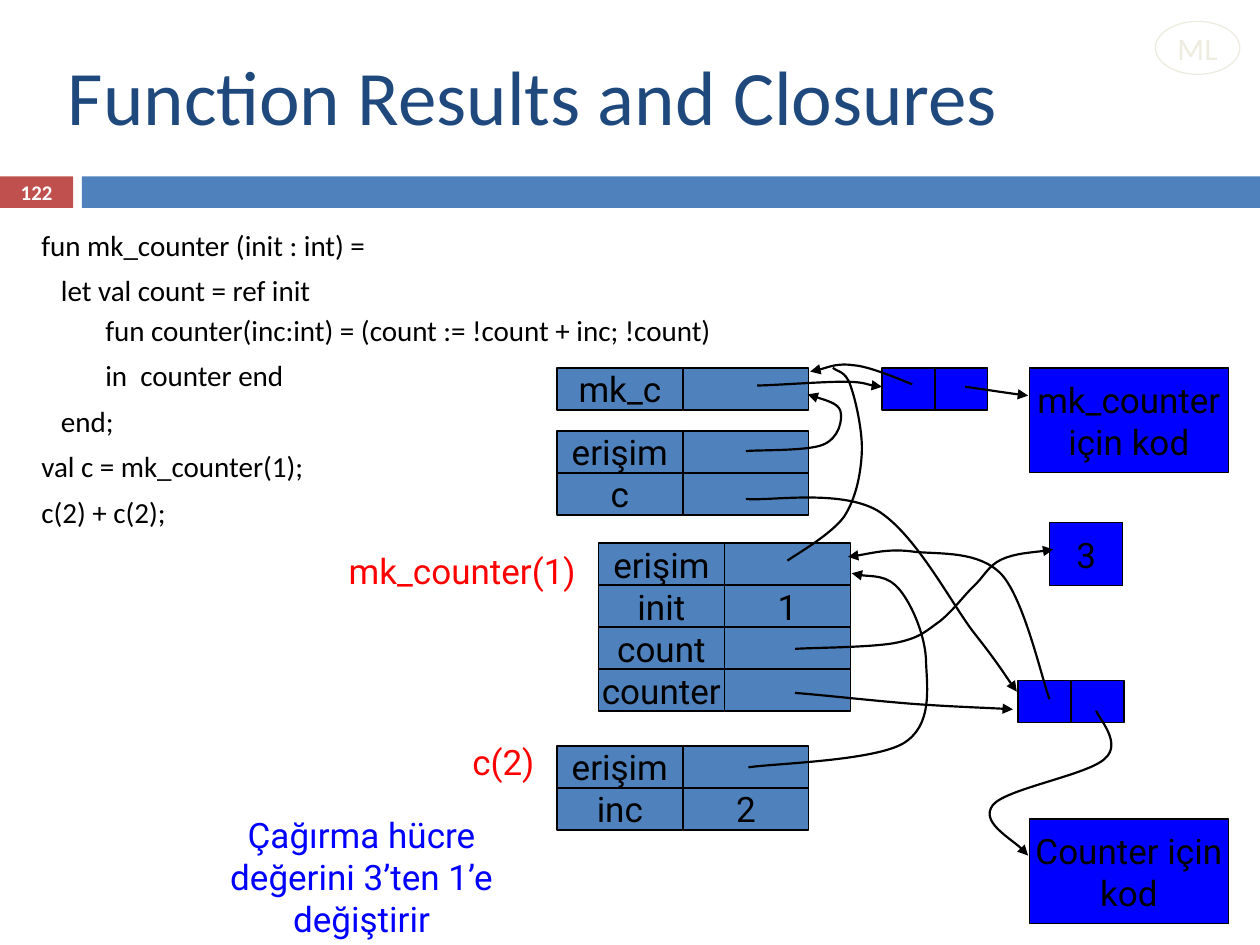
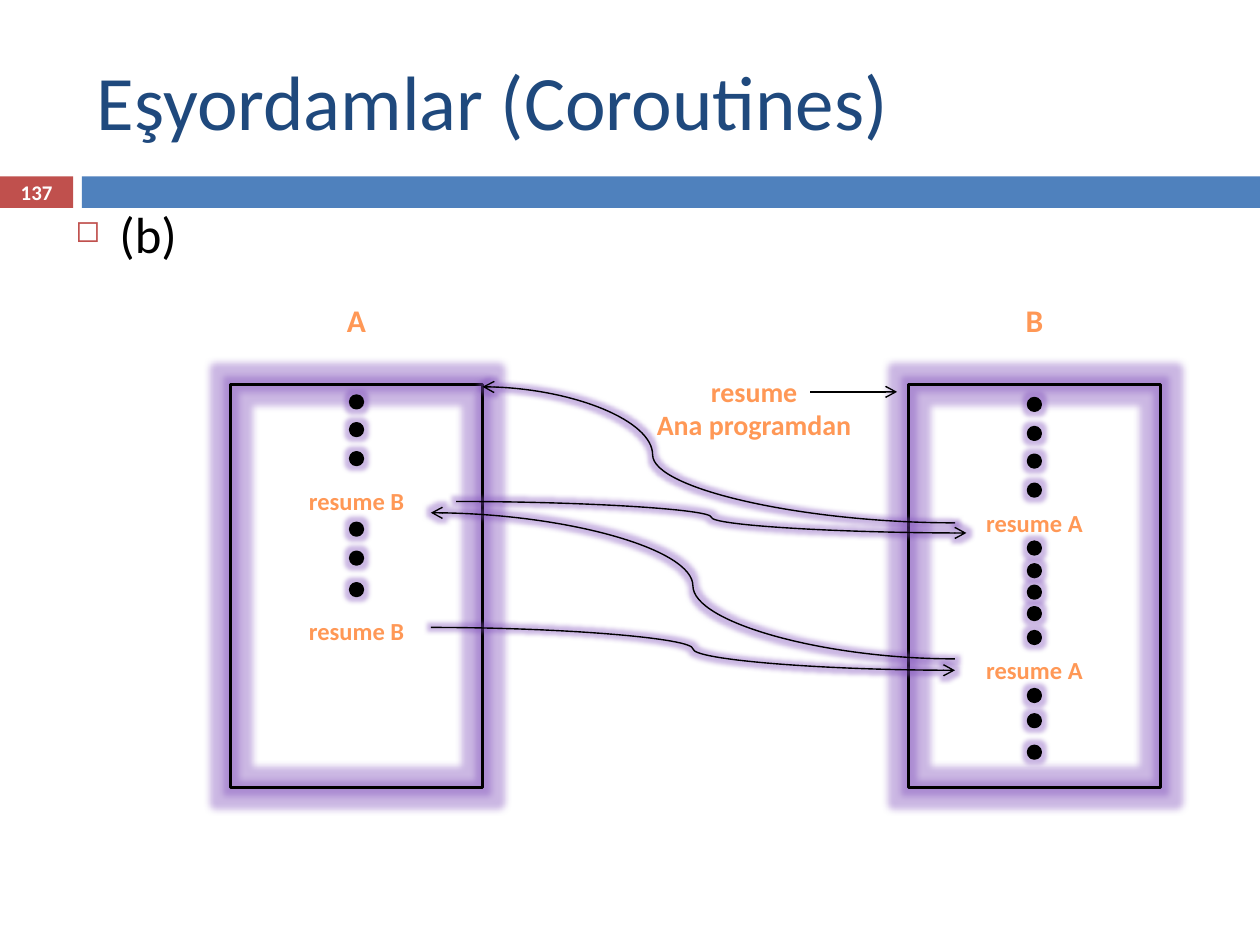
from dataclasses import dataclass
from itertools import product

from lxml import etree
from pptx import Presentation
from pptx.dml.color import RGBColor
from pptx.enum.shapes import MSO_CONNECTOR, MSO_SHAPE
from pptx.enum.text import MSO_ANCHOR, PP_ALIGN
from pptx.oxml.ns import qn
from pptx.util import Inches, Pt

RECT, OVAL = MSO_SHAPE.RECTANGLE, MSO_SHAPE.OVAL
STRAIGHT, CURVE = MSO_CONNECTOR.STRAIGHT, MSO_CONNECTOR.CURVE
LEFT, CENTER, RIGHT = PP_ALIGN.LEFT, PP_ALIGN.CENTER, PP_ALIGN.RIGHT
TOP, MIDDLE = MSO_ANCHOR.TOP, MSO_ANCHOR.MIDDLE

BLACK = RGBColor(0x00, 0x00, 0x00)
WHITE = RGBColor(0xFF, 0xFF, 0xFF)
NAVY = RGBColor(0x1F, 0x49, 0x7D)
STEEL = RGBColor(0x4F, 0x81, 0xBD)
BRICK = RGBColor(0xC0, 0x50, 0x4D)
CREAM = RGBColor(0xEE, 0xEC, 0xE1)
BLUE = RGBColor(0x00, 0x00, 0xFF)
RED = RGBColor(0xFF, 0x00, 0x00)
ORANGE = RGBColor(0xFF, 0x98, 0x56)
PURPLE = RGBColor(0x7E, 0x4D, 0xBA)

HEADING_FONT, DIAGRAM_FONT = "Calibri", "Roboto"
CELL_WIDTH, CELL_HEIGHT = 1, 1 / 3
HALF_CELL = 0.42
DOT = 0.1

Point = tuple[float, float]
Box = tuple[float, float, float, float]


@dataclass(frozen=True)
class Record:
    """An activation record: rows of name and value cells."""
    left: float
    top: float
    rows: tuple[tuple[str, str], ...]


@dataclass(frozen=True)
class Routine:
    """A coroutine box with its resume calls and statement dots."""
    name: str
    left: float
    calls: tuple[float, ...]
    call_text: str
    dots: tuple[float, ...]


@dataclass(frozen=True)
class Transfer:
    start: Point
    end: Point
    bend: float = 0.5


RECORDS = (
    Record(4.42, 2.92, (("mk_c", ""),)),
    Record(4.42, 3.42, (("erişim", ""), ("c", ""))),
    Record(4.75, 4.31, (("erişim", ""), ("init", "1"), ("count", ""), ("counter", ""))),
    Record(4.42, 5.92, (("erişim", ""), ("inc", "2"))),
)
CLOSURES = ((7, 2.92), (8.08, 5.4))
HEAP_BOXES = (
    ("mk_counter\niçin kod", (8.17, 2.92, 1.58, 0.83)),
    ("Counter için\nkod", (8.17, 6.5, 1.58, 0.83)),
    ("3", (8.33, 4.15, 0.58, 0.5)),
)
DIAGRAM_LABELS = (
    ("mk_counter(1)", (2.5, 4.31, 2.17, 0.43), RED, RIGHT),
    ("c(2)", (2.92, 5.83, 1.42, 0.43), RED, RIGHT),
    ("Çağırma hücre değerini 3’ten 1’e değiştirir", (1.58, 6.41, 2.58, 1.11), BLUE, CENTER),
)
# Each curve is a start point, then two control points and an end per segment.
POINTERS = (
    ((5.92, 3.58), (6.03, 3.57), (6.41, 3.58), (6.53, 3.53), (6.66, 3.48),
     (6.69, 3.33), (6.67, 3.26), (6.65, 3.2), (6.47, 3.15), (6.41, 3.13)),
    ((5.94, 6.09), (6.14, 6.06), (6.93, 6.04), (7.17, 5.9), (7.4, 5.76),
     (7.36, 5.47), (7.35, 5.26), (7.35, 5.06), (7.24, 4.8), (7.14, 4.68),
     (7.04, 4.56), (6.84, 4.58), (6.76, 4.55)),
    ((5.92, 3.96), (6.09, 3.98), (6.66, 3.88), (6.96, 4.05), (7.26, 4.23),
     (7.54, 4.77), (7.72, 5.01), (7.91, 5.25), (8.01, 5.41), (8.07, 5.49)),
    ((6.31, 5.15), (6.44, 5.14), (6.93, 5.14), (7.12, 5.1), (7.31, 5.06),
     (7.36, 5), (7.46, 4.93), (7.56, 4.85), (7.64, 4.74), (7.72, 4.66),
     (7.81, 4.58), (7.84, 4.49), (7.95, 4.44), (8.06, 4.39), (8.27, 4.38), (8.36, 4.36)),
    ((8.33, 5.55), (8.27, 5.39), (8.13, 4.76), (7.95, 4.56), (7.77, 4.37),
     (7.46, 4.4), (7.26, 4.38), (7.06, 4.35), (6.84, 4.41), (6.73, 4.42)),
    ((8.7, 5.64), (8.72, 5.7), (8.91, 5.9), (8.77, 6.02), (8.64, 6.15),
     (7.98, 6.26), (7.88, 6.39), (7.78, 6.52), (8.1, 6.7), (8.16, 6.79)),
    ((6.31, 5.5), (6.47, 5.51), (7, 5.57), (7.29, 5.59), (7.58, 5.61), (7.89, 5.62), (8.04, 5.63)),
    ((7.66, 3.07), (7.74, 3.08), (8.06, 3.13), (8.16, 3.14)),
    ((6.01, 3.06), (6.12, 3.06), (6.52, 3.03), (6.69, 3.03), (6.85, 3.03), (6.93, 3.07), (7, 3.07)),
    ((7.24, 3.05), (7.16, 3.02), (6.91, 2.91), (6.78, 2.9), (6.64, 2.88), (6.51, 2.94), (6.43, 2.95)),
)
HEADLESS_LINK = (
    (6.25, 4.45), (6.32, 4.4), (6.6, 4.24), (6.7, 4.1), (6.79, 3.96), (6.83, 3.78), (6.84, 3.6),
    (6.85, 3.43), (6.79, 3.17), (6.75, 3.06), (6.71, 2.94), (6.64, 2.95), (6.61, 2.92),
)
# Code line, space before, space after
CODE = (
    ("fun mk_counter (init : int) =", 0, 0),
    ("   let val count = ref init", 5.5, 0),
    ("\t    fun counter(inc:int) = (count := !count + inc; !count)", 3, 3),
    ("\t    in  counter end", 3, 3),
    ("   end;", 3, 3),
    ("val c = mk_counter(1);", 3, 3),
    ("c(2) + c(2);", 3, 3),
)
ROUTINES = (
    Routine("A", 1.83, (3.81, 4.84), "resume B", (3.14, 3.36, 3.59, 4.15, 4.38, 4.63)),
    Routine("B", 7.21, (3.98, 5.15), "resume A",
            (3.16, 3.39, 3.61, 3.84, 4.3, 4.48, 4.65, 4.82, 5.01, 5.47, 5.67, 5.92)),
)
TRANSFERS = (
    Transfer((7.58, 4.15), (3.83, 3.07), 0.64),
    Transfer((3.62, 3.98), (7.67, 4.23)),
    Transfer((7.58, 5.23), (3.42, 4.07)),
    Transfer((3.42, 4.98), (7.58, 5.32)),
)


def inches(lengths) -> list:
    return [Inches(length) for length in lengths]


def add_child(parent, tag: str, **attributes):
    child = etree.SubElement(parent, qn(tag))
    for key, value in attributes.items():
        child.set(key, str(value))
    return child


def write(holder, text: str, *, size: float, color: RGBColor = BLACK, font: str = HEADING_FONT,
          bold: bool = False, align=LEFT, anchor=TOP, wrap: bool = True):
    """Fill a shape or text box, one paragraph per line of text."""
    frame = holder.text_frame
    frame.word_wrap = wrap
    frame.vertical_anchor = anchor
    for index, line in enumerate(text.split("\n")):
        paragraph = frame.add_paragraph() if index else frame.paragraphs[0]
        paragraph.alignment = align
        run = paragraph.add_run()
        run.text = line
        run.font.name, run.font.size, run.font.bold = font, Pt(size), bold
        run.font.color.rgb = color
    return frame


def add_text(slide, text: str, box: Box, **style):
    return write(slide.shapes.add_textbox(*inches(box)), text, **style)


def set_line(shape, color: RGBColor, width: float, arrow: str = "") -> None:
    shape.line.color.rgb = color
    shape.line.width = Pt(width)
    if arrow:
        add_child(shape.element.spPr.find(qn("a:ln")), "a:tailEnd", type=arrow)


def add_box(slide, kind, box: Box, fill: RGBColor | None = None,
            line: RGBColor | None = BLACK, width: float = 0.75):
    shape = slide.shapes.add_shape(kind, *inches(box))
    shape.shadow.inherit = False
    if fill is None:
        shape.fill.background()
    else:
        shape.fill.solid()
        shape.fill.fore_color.rgb = fill
    if line is None:
        shape.line.fill.background()
    else:
        set_line(shape, line, width)
    return shape


def add_glow(shape, radius: float) -> None:
    effects = shape.element.spPr.find(qn("a:effectLst"))
    glow = add_child(effects, "a:glow", rad=Pt(radius))
    add_child(add_child(glow, "a:srgbClr", val=PURPLE), "a:alpha", val=40000)


def add_pointer(slide, points: tuple[Point, ...], arrow: str = "triangle") -> None:
    """Draw a Bézier curve by grouping each three freeform points into a segment."""
    start, *rest = [tuple(inches(point)) for point in points]
    builder = slide.shapes.build_freeform(*start)
    builder.add_line_segments(rest, close=False)
    curve = builder.convert_to_shape()
    curve.shadow.inherit = False
    curve.fill.background()
    set_line(curve, BLACK, 1.25, arrow)
    steps = list(curve.element.iter(qn("a:lnTo")))
    for first in range(0, len(steps), 3):
        segment = add_child(steps[0].getparent(), "a:cubicBezTo")
        for step in steps[first:first + 3]:
            segment.append(step[0])
    for step in steps:
        step.getparent().remove(step)


def add_arrow(slide, kind, start: Point, end: Point):
    arrow = slide.shapes.add_connector(kind, *inches(start + end))
    set_line(arrow, BLACK, 0.79, "arrow")
    add_child(arrow.element.spPr, "a:effectLst")
    return arrow


def add_page(deck, title: str, title_box: Box, number: int):
    slide = deck.slides.add_slide(deck.slide_layouts[6])
    add_box(slide, RECT, (0, 1.4, 0.58, 0.25), BRICK, None)
    add_box(slide, RECT, (0.65, 1.4, 9.35, 0.25), STEEL, None)
    add_text(slide, title, title_box, size=44, color=NAVY, anchor=MIDDLE)
    add_text(slide, str(number), (0, 1.39, 0.58, 0.27), size=11.9, color=WHITE,
             bold=True, align=CENTER, anchor=MIDDLE)
    return slide


def set_indent(paragraph, margin: float, hanging: float):
    properties = paragraph._p.get_or_add_pPr()
    properties.set("marL", str(Inches(margin)))
    properties.set("indent", str(-Inches(hanging)))
    return properties


def add_code(slide) -> None:
    frame = add_text(slide, "\n".join(line for line, _, _ in CODE), (-0.17, 1.76, 9.58, 2.46), size=16.6)
    for paragraph, (_, before, after) in zip(frame.paragraphs, CODE):
        set_indent(paragraph, 0.7, 0.3)
        paragraph.space_before, paragraph.space_after = Pt(before), Pt(after)


def build_closures(deck) -> None:
    slide = add_page(deck, "Function Results and Closures", (0.44, 0.25, 8.89, 1), 122)
    add_code(slide)
    cell_style = dict(size=20, font=DIAGRAM_FONT, align=CENTER, anchor=MIDDLE, wrap=False)
    for record in RECORDS:
        for row, column in product(range(len(record.rows)), range(2)):
            cell = add_box(slide, RECT, (record.left + column * CELL_WIDTH, record.top + row * CELL_HEIGHT,
                                         CELL_WIDTH, CELL_HEIGHT), STEEL)
            if record.rows[row][column]:
                write(cell, record.rows[row][column], **cell_style)
    for (left, top), half in product(CLOSURES, range(2)):
        add_box(slide, RECT, (left + half * HALF_CELL, top, HALF_CELL, CELL_HEIGHT), BLUE)
    for text, box in HEAP_BOXES:
        write(add_box(slide, RECT, box, BLUE), text, **cell_style)
    for text, box, color, align in DIAGRAM_LABELS:
        add_text(slide, text, box, size=20, font=DIAGRAM_FONT, color=color, align=align)
    for points in POINTERS:
        add_pointer(slide, points)
    add_pointer(slide, HEADLESS_LINK, arrow="")
    language = add_box(slide, OVAL, (9.17, 0.17, 0.67, 0.42), line=CREAM)
    write(language, "ML", size=18, color=CREAM, align=CENTER, anchor=MIDDLE, wrap=False)


def add_routine(slide, routine: Routine) -> None:
    middle = routine.left + 1
    add_glow(add_box(slide, RECT, (routine.left, 3.05, 2, 3.2), width=1.5), 8)
    for top in routine.dots:
        add_glow(add_box(slide, OVAL, (middle - DOT / 2, top, DOT, DOT), BLACK, width=1.5), 5)
    label_style = dict(color=ORANGE, bold=True, align=CENTER)
    add_text(slide, routine.name, (middle - 0.2, 2.34, 0.4, 0.4), size=18, **label_style)
    for top in routine.calls:
        add_text(slide, routine.call_text, (middle - 0.79, top, 1.58, 0.34), size=14, **label_style)


def build_coroutines(deck) -> None:
    slide = add_page(deck, "Eşyordamlar (Coroutines)", (0.67, 0.25, 8.92, 1.08), 137)
    body = add_text(slide, "(b)", (0.5, 1.56, 9, 5.75), size=29)
    properties = set_indent(body.paragraphs[0], 0.35, 0.35)
    add_child(add_child(properties, "a:buClr"), "a:srgbClr", val=BRICK)
    add_child(properties, "a:buSzPct", val=60000)
    add_child(properties, "a:buChar", char="◻")
    for routine in ROUTINES:
        add_routine(slide, routine)
    add_text(slide, "resume\nAna programdan", (5.1, 2.92, 1.77, 0.64), size=16,
             color=ORANGE, bold=True, align=CENTER, wrap=False)
    add_arrow(slide, STRAIGHT, (6.43, 3.11), (7.12, 3.11))
    for transfer in TRANSFERS:
        arrow = add_arrow(slide, CURVE, transfer.start, transfer.end)
        adjustments = next(arrow.element.iter(qn("a:avLst")))
        add_child(adjustments, "a:gd", name="adj1", fmla=f"val {round(transfer.bend * 100000)}")
        add_glow(arrow, 5)


def main() -> None:
    deck = Presentation()
    deck.slide_width, deck.slide_height = Inches(10), Inches(7.5)
    build_closures(deck)
    build_coroutines(deck)
    deck.save("out.pptx")


if __name__ == "__main__":
    main()
